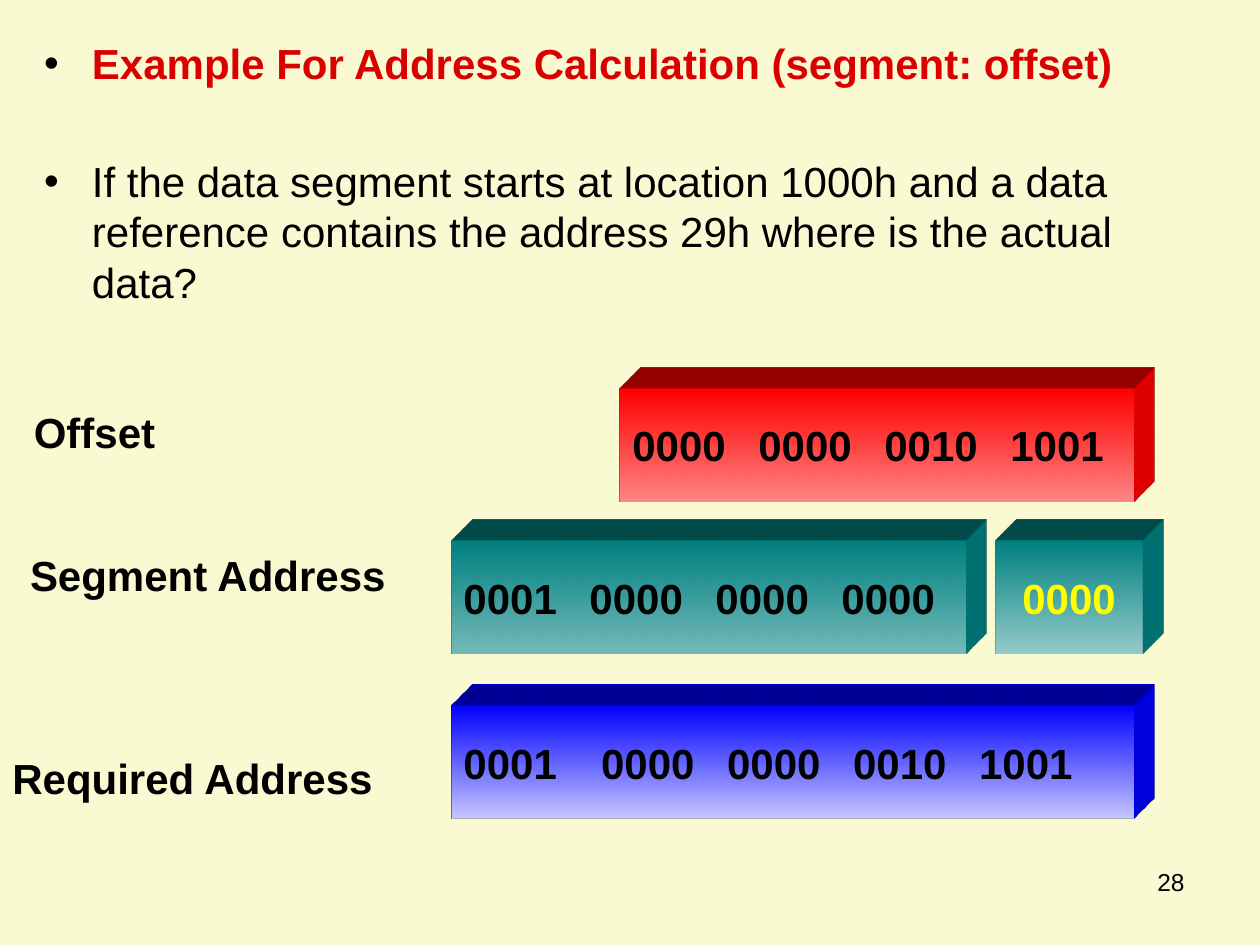
from lxml import etree
from pptx import Presentation
from pptx.dml.color import RGBColor
from pptx.enum.shapes import MSO_SHAPE
from pptx.enum.text import MSO_ANCHOR, MSO_AUTO_SIZE, PP_ALIGN
from pptx.oxml import parse_xml
from pptx.oxml.ns import qn
from pptx.util import Inches, Pt

RECT = MSO_SHAPE.RECTANGLE
TOP, MIDDLE = MSO_ANCHOR.TOP, MSO_ANCHOR.MIDDLE
NO_FIT = MSO_AUTO_SIZE.NONE
LEFT, CENTER, RIGHT = PP_ALIGN.LEFT, PP_ALIGN.CENTER, PP_ALIGN.RIGHT

CREAM = RGBColor(0xFA, 0xFA, 0xD2)
BLACK = RGBColor(0, 0, 0)
HEADING_RED = RGBColor(0xDA, 0, 0)
YELLOW = RGBColor(0xFF, 0xFF, 0)
RED, PINK = RGBColor(0xFF, 0, 0), RGBColor(0xFF, 0x86, 0x86)
TEAL, PALE_TEAL = RGBColor(0, 0x80, 0x80), RGBColor(0x75, 0xBA, 0xBA)
PALEST_TEAL = RGBColor(0x96, 0xCB, 0xCB)
BLUE, PALE_BLUE = RGBColor(0, 0, 0xFF), RGBColor(0xC6, 0xC6, 0xFF)

FONT = "Arial"
BLOCK_HEIGHT = 0.9
A_NS = "http://schemas.openxmlformats.org/drawingml/2006/main"


def add_run(p, text, size=24, color=BLACK, bold=False):
    r = p.add_run()
    r.text = text
    r.font.name = FONT
    r.font.size = Pt(size)
    r.font.bold = bold
    r.font.color.rgb = color


def set_bullet(p):
    pPr = p._p.get_or_add_pPr()
    pPr.set("marL", str(Inches(0.38)))
    pPr.set("indent", str(Inches(-0.38)))
    color = etree.SubElement(pPr, qn("a:buClr"))
    etree.SubElement(color, qn("a:srgbClr"), val=str(BLACK))
    etree.SubElement(pPr, qn("a:buFont"), typeface=FONT)
    etree.SubElement(pPr, qn("a:buChar"), char="•")


def fill_question(body, box):
    body.left, body.top, body.width, body.height = map(Inches, box)
    tf = body.text_frame
    tf.auto_size = NO_FIT
    tf.vertical_anchor = TOP
    items = [
        ("Example For Address Calculation (segment: offset)", HEADING_RED, True, 0),
        ("If the data segment starts at location 1000h and a data reference "
         "contains the address 29h where is the actual data?", BLACK, False, 38.4),
    ]
    for i, (text, color, bold, gap) in enumerate(items):
        p = tf.add_paragraph() if i else tf.paragraphs[0]
        p.space_before = Pt(gap)
        set_bullet(p)
        add_run(p, text, color=color, bold=bold)


def add_label(slide, box, text, size=24, bold=True, align=LEFT):
    tf = slide.shapes.add_textbox(*map(Inches, box)).text_frame
    tf.word_wrap = True
    p = tf.paragraphs[0]
    p.alignment = align
    add_run(p, text, size, bold=bold)


def extrude(sp, color):
    """Give the block its top and right faces."""
    sp._element.spPr.append(parse_xml(
        f'<a:scene3d xmlns:a="{A_NS}"><a:camera prst="legacyObliqueTopRight"/>'
        '<a:lightRig rig="legacyFlat3" dir="b"/></a:scene3d>'))
    sp._element.spPr.append(parse_xml(
        f'<a:sp3d xmlns:a="{A_NS}" extrusionH="430200" prstMaterial="legacyMatte">'
        '<a:bevelT w="13500" h="13500" prst="angle"/>'
        '<a:bevelB w="13500" h="13500" prst="angle"/>'
        f'<a:extrusionClr><a:srgbClr val="{color}"/></a:extrusionClr></a:sp3d>'))


def add_block(slide, box, bits, top_color, bottom_color, color=BLACK, align=LEFT):
    sp = slide.shapes.add_shape(RECT, *map(Inches, box))
    sp.fill.gradient()
    sp.fill.gradient_angle = 270
    for stop, shade in zip(sp.fill.gradient_stops, (top_color, bottom_color)):
        stop.color.rgb = shade
    sp.line.fill.background()
    sp.shadow.inherit = False
    extrude(sp, top_color)
    tf = sp.text_frame
    tf.word_wrap = False
    tf.vertical_anchor = MIDDLE
    p = tf.paragraphs[0]
    p.alignment = align
    add_run(p, bits, color=color, bold=True)


def main():
    prs = Presentation()
    prs.slide_width, prs.slide_height = Inches(10), Inches(7.5)
    slide = prs.slides.add_slide(prs.slide_layouts[1])
    slide.background.fill.solid()
    slide.background.fill.fore_color.rgb = CREAM
    title = slide.shapes.title._element
    title.getparent().remove(title)

    # Question and slide number
    fill_question(slide.placeholders[1], (0.25, 0.25, 9.5, 7))
    add_label(slide, (7.17, 6.83, 2.33, 0.52), "28", 14, False, RIGHT)

    # Row labels
    add_label(slide, (0, 5.92, 3.25, 0.5), "Required Address")
    add_label(slide, (0.17, 3.18, 2.17, 0.5), "Offset")
    add_label(slide, (0.14, 4.31, 3.17, 0.5), "Segment Address")

    # Address blocks
    add_block(slide, (4.92, 3.08, 4.08, BLOCK_HEIGHT),
              "0000\t0000\t0010\t1001", RED, PINK)
    add_block(slide, (7.9, 4.29, 1.17, BLOCK_HEIGHT),
              "0000", TEAL, PALEST_TEAL, YELLOW, CENTER)
    add_block(slide, (3.58, 5.6, 5.42, BLOCK_HEIGHT),
              "0001\t 0000\t 0000\t 0010\t 1001", BLUE, PALE_BLUE)
    add_block(slide, (3.58, 4.29, 4.08, BLOCK_HEIGHT),
              "0001\t0000\t0000\t0000", TEAL, PALE_TEAL)

    prs.save("out.pptx")


if __name__ == "__main__":
    main()
